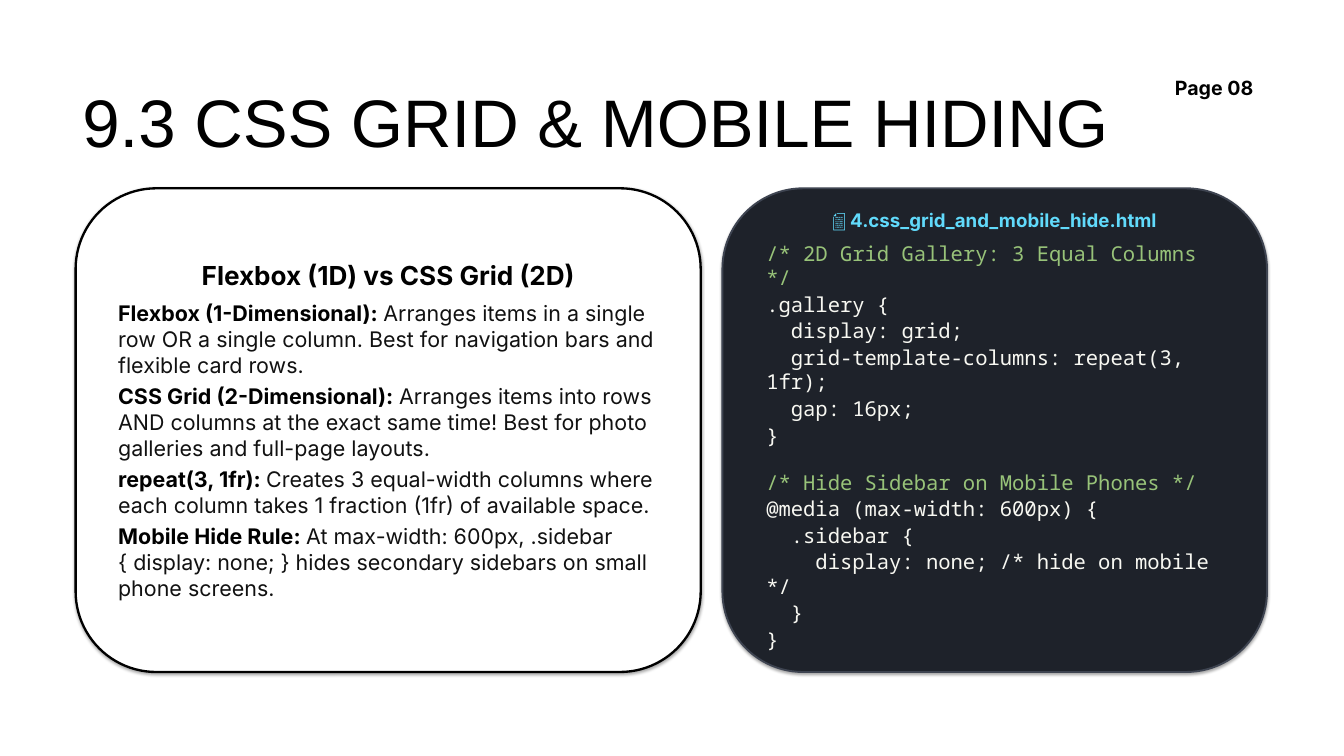
from lxml import etree
from pptx import Presentation
from pptx import util as u
from pptx.dml.color import RGBColor
from pptx.enum import shapes, text
from pptx.oxml import ns

PX = u.Inches(1) // 96

BLACK = RGBColor(0x00, 0x00, 0x00)
WHITE = RGBColor(0xFF, 0xFF, 0xFF)
BODY = RGBColor(0x11, 0x11, 0x11)
EDITOR = RGBColor(0x1E, 0x22, 0x2A)
EDITOR_EDGE = RGBColor(0x3E, 0x44, 0x51)
FILE_NAME = RGBColor(0x61, 0xDA, 0xFB)
COMMENT = RGBColor(0x98, 0xC3, 0x79)
CODE = RGBColor(0xF8, 0xF8, 0xF2)

POINTS = [
    ("Flexbox (1-Dimensional): ",
     "Arranges items in a single row OR a single column. "
     "Best for navigation bars and flexible card rows."),
    ("CSS Grid (2-Dimensional): ",
     "Arranges items into rows AND columns at the exact same time! "
     "Best for photo galleries and full-page layouts."),
    ("repeat(3, 1fr): ",
     "Creates 3 equal-width columns where each column takes "
     "1 fraction (1fr) of available space."),
    ("Mobile Hide Rule: ",
     "At max-width: 600px, .sidebar { display: none; } "
     "hides secondary sidebars on small phone screens."),
]

CODE_BLOCKS = [
    ["/* 2D Grid Gallery: 3 Equal Columns */",
     ".gallery {",
     "  display: grid;",
     "  grid-template-columns: repeat(3, 1fr);",
     "  gap: 16px;",
     "}"],
    ["/* Hide Sidebar on Mobile Phones */",
     "@media (max-width: 600px) {",
     "  .sidebar {",
     "    display: none; /* hide on mobile */",
     "  }",
     "}"],
]


def add_run(paragraph, words, size, color, bold=False, font="Inter"):
    run = paragraph.add_run()
    run.text = words
    run.font.name = font
    run.font.size = u.Pt(size)
    run.font.bold = bold
    run.font.color.rgb = color


def add_paragraph(frame, after, align=text.PP_ALIGN.LEFT):
    paragraph = frame.add_paragraph()
    paragraph.alignment = align
    paragraph.space_after = u.Pt(after)
    return paragraph


def add_soft_shadow(shape):
    properties = shape.fill._xPr
    effects = etree.SubElement(properties, ns.qn("a:effectLst"))
    shadow = etree.SubElement(
        effects, ns.qn("a:outerShdw"), blurRad=str(u.Pt(3.1)),
        dist=str(u.Pt(1.8)), dir="5400000", rotWithShape="0")
    color = etree.SubElement(shadow, ns.qn("a:srgbClr"), val=str(BLACK))
    etree.SubElement(color, ns.qn("a:alpha"), val="35000")


def add_panel(slide, box, fill, edge, edge_width, insets, heading, size, color):
    """Add a rounded card with a centred heading and return its text frame."""
    panel = slide.shapes.add_shape(
        shapes.MSO_SHAPE.ROUNDED_RECTANGLE, *(side * PX for side in box))
    panel.fill.solid()
    panel.fill.fore_color.rgb = fill
    panel.line.color.rgb = edge
    panel.line.width = u.Pt(edge_width)
    add_soft_shadow(panel)

    frame = panel.text_frame
    frame.word_wrap = True
    frame.vertical_anchor = text.MSO_ANCHOR.MIDDLE
    across, down = insets
    frame.margin_left = frame.margin_right = across * PX
    frame.margin_top = frame.margin_bottom = down * PX
    paragraph = frame.paragraphs[0]
    paragraph.alignment = text.PP_ALIGN.CENTER
    paragraph.space_after = u.Pt(10)
    add_run(paragraph, heading, size, color, bold=True)
    return frame


def add_comparison(slide, box):
    frame = add_panel(slide, box, WHITE, BLACK, 2.5, (27, 21),
                      "Flexbox (1D) vs CSS Grid (2D)", 28, BLACK)
    for term, meaning in POINTS:
        paragraph = add_paragraph(frame, after=6)
        add_run(paragraph, term, 23, BLACK, bold=True)
        add_run(paragraph, meaning, 23, BODY)


def add_code(slide, box):
    frame = add_panel(slide, box, EDITOR, EDITOR_EDGE, 2, (29, 24),
                      "📄 4.css_grid_and_mobile_hide.html", 20, FILE_NAME)
    for block_number, block in enumerate(CODE_BLOCKS):
        for line_number, line in enumerate(block):
            paragraph = add_paragraph(frame, after=2)
            if block_number and not line_number:
                paragraph.space_before = u.Pt(22)
            color = COMMENT if line.startswith("/*") else CODE
            add_run(paragraph, line, 22, color, font="Noto Sans Mono")


def add_header(slide, box):
    left, top, width, height = box
    title = slide.shapes.title
    title.left, title.top = left * PX, (top + 6) * PX
    title.width, title.height = 1536 * PX, height * PX
    frame = title.text_frame
    frame.auto_size = text.MSO_AUTO_SIZE.NONE
    frame.vertical_anchor = text.MSO_ANCHOR.TOP
    paragraph = frame.paragraphs[0]
    paragraph.alignment = text.PP_ALIGN.LEFT
    add_run(paragraph, "9.3 CSS GRID & MOBILE HIDING", 72, BLACK, font="Arial")

    label_width = 149
    label = slide.shapes.add_textbox(
        (left + width - label_width) * PX, top * PX, label_width * PX, 43 * PX)
    label.text_frame.word_wrap = False
    add_run(label.text_frame.paragraphs[0], "Page 08", 21, BLACK, bold=True)


def main():
    presentation = Presentation()
    presentation.slide_width = 1920 * PX
    presentation.slide_height = 1080 * PX
    slide = presentation.slides.add_slide(presentation.slide_layouts[5])
    add_header(slide, (108, 104, 1710, 130))
    add_comparison(slide, (108, 269, 893, 691))
    add_code(slide, (1032, 269, 778, 691))
    presentation.save("out.pptx")


if __name__ == "__main__":
    main()
